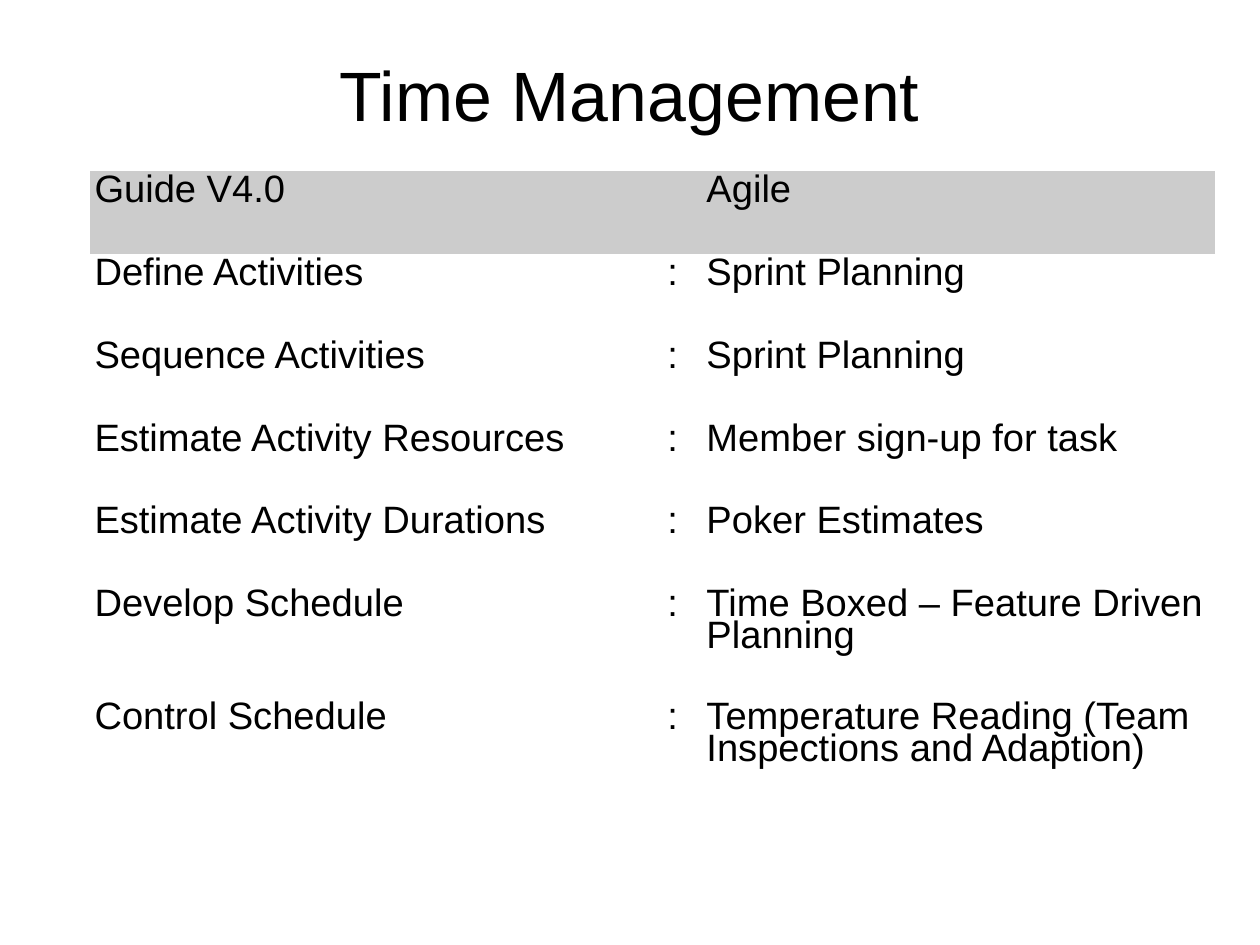
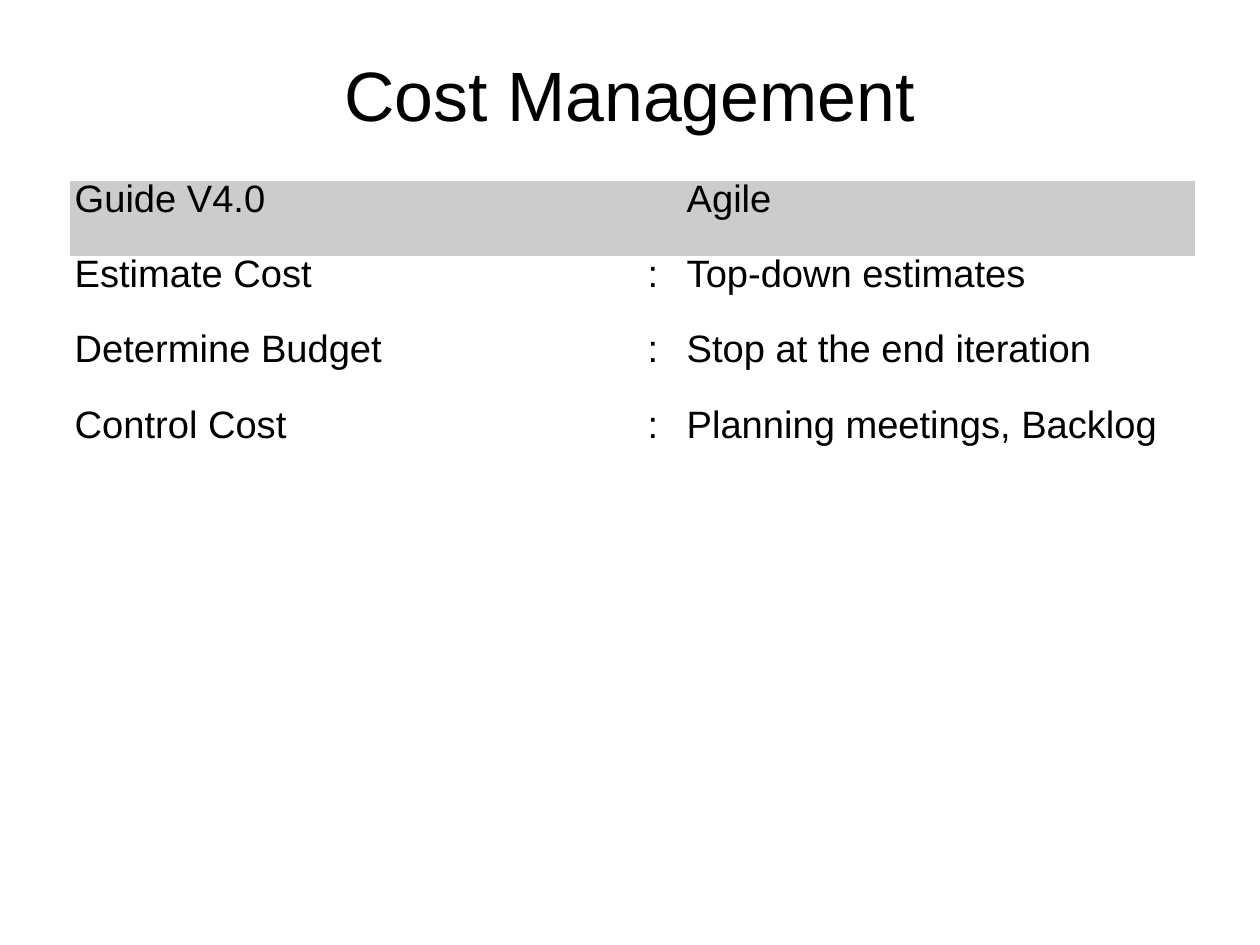
import dataclasses

import pptx
import pptx.dml.color
import pptx.enum.text
import pptx.oxml.ns
import pptx.util

Cm = pptx.util.Cm
ALIGN = pptx.enum.text.PP_ALIGN
ANCHOR = pptx.enum.text.MSO_ANCHOR


@dataclasses.dataclass(frozen=True)
class Theme:
    font: str = "Arial"
    ink: str = "000000"
    header_fill: str = "CCCCCC"
    body_fill: str = "FFFFFF"
    title_size: int = 44
    table_size: int = 24
    title_spacing: float = 0.93
    table_spacing: float = 0.76
    plain_table_style: str = "{2D5ABB26-0587-4C30-8999-92F81FD0307C}"


THEME = Theme()
TITLE_ONLY = 5
TITLE_BOX = (1.4, 0.84, 25.2, 2.57)
COLUMN_WIDTHS = (12.3, 1.3, 11.4)
COLUMN_ALIGNS = (ALIGN.LEFT, ALIGN.CENTER, ALIGN.LEFT)
HEADER = ("Guide V4.0", "Agile")

TIME_ROWS = [
    ("Define Activities", "Sprint Planning"),
    ("Sequence Activities", "Sprint Planning"),
    ("Estimate Activity Resources", "Member sign-up for task"),
    ("Estimate Activity Durations", "Poker Estimates"),
    ("Develop Schedule", "Time Boxed – Feature Driven Planning"),
    ("Control Schedule", "Temperature Reading (Team Inspections and Adaption)"),
]
COST_ROWS = [
    ("Estimate Cost", "Top-down estimates"),
    ("Determine Budget", "Stop at the end iteration"),
    ("Control Cost", "Planning meetings, Backlog"),
]


def write_text(frame, text, *, size, spacing, align=ALIGN.LEFT):
    para = frame.paragraphs[0]
    para.alignment = align
    para.line_spacing = spacing
    span = para.add_run()
    span.text = text
    span.font.name = THEME.font
    span.font.size = pptx.util.Pt(size)
    span.font.color.rgb = pptx.dml.color.RGBColor.from_string(THEME.ink)


def place_title(page, text, box):
    title = page.shapes.title
    title.left, title.top, title.width, title.height = map(Cm, box)
    frame = title.text_frame
    frame.word_wrap = True
    frame.auto_size = pptx.enum.text.MSO_AUTO_SIZE.NONE
    frame.vertical_anchor = ANCHOR.MIDDLE
    frame.margin_left = frame.margin_right = frame.margin_bottom = 0
    frame.margin_top = Cm(0.1)
    write_text(frame, text, size=THEME.title_size,
               spacing=THEME.title_spacing, align=ALIGN.CENTER)


def fill_cell(cell, text, fill, align):
    cell.fill.solid()
    cell.fill.fore_color.rgb = pptx.dml.color.RGBColor.from_string(fill)
    cell.margin_left = cell.margin_right = Cm(0.1)
    cell.margin_top = cell.margin_bottom = Cm(0.13)
    cell.vertical_anchor = ANCHOR.TOP
    if text:
        write_text(cell.text_frame, text, size=THEME.table_size,
                   spacing=THEME.table_spacing, align=align)


def place_comparison(page, pairs, left, top, row_heights):
    """Set a header and one 'process : practice' row for each pair."""
    rows = [(HEADER[0], "", HEADER[1])]
    rows += [(process, ":", practice) for process, practice in pairs]
    table = page.shapes.add_table(
        len(rows), len(COLUMN_WIDTHS), Cm(left), Cm(top),
        Cm(sum(COLUMN_WIDTHS)), Cm(sum(row_heights))).table
    table.horz_banding = False
    style = table._tbl.tblPr.find(pptx.oxml.ns.qn("a:tableStyleId"))
    style.text = THEME.plain_table_style
    for column, width in zip(table.columns, COLUMN_WIDTHS):
        column.width = Cm(width)
    for index, (texts, height) in enumerate(zip(rows, row_heights)):
        table.rows[index].height = Cm(height)
        fill = THEME.body_fill if index else THEME.header_fill
        for cell, text, align in zip(table.rows[index].cells, texts, COLUMN_ALIGNS):
            fill_cell(cell, text, fill, align)


def add_comparison_page(deck, title, pairs, **placing):
    page = deck.slides.add_slide(deck.slide_layouts[TITLE_ONLY])
    place_title(page, title, TITLE_BOX)
    place_comparison(page, pairs, **placing)


def main():
    deck = pptx.Presentation()
    deck.slide_width, deck.slide_height = Cm(28), Cm(21)
    add_comparison_page(deck, "Time Management", TIME_ROWS, left=2, top=3.8,
                        row_heights=[1.84] * 5 + [2.5] * 2)
    add_comparison_page(deck, "Cost Management", COST_ROWS, left=1.56, top=4.02,
                        row_heights=[1.67] * 3 + [1.57])
    deck.save("out.pptx")


if __name__ == "__main__":
    main()
